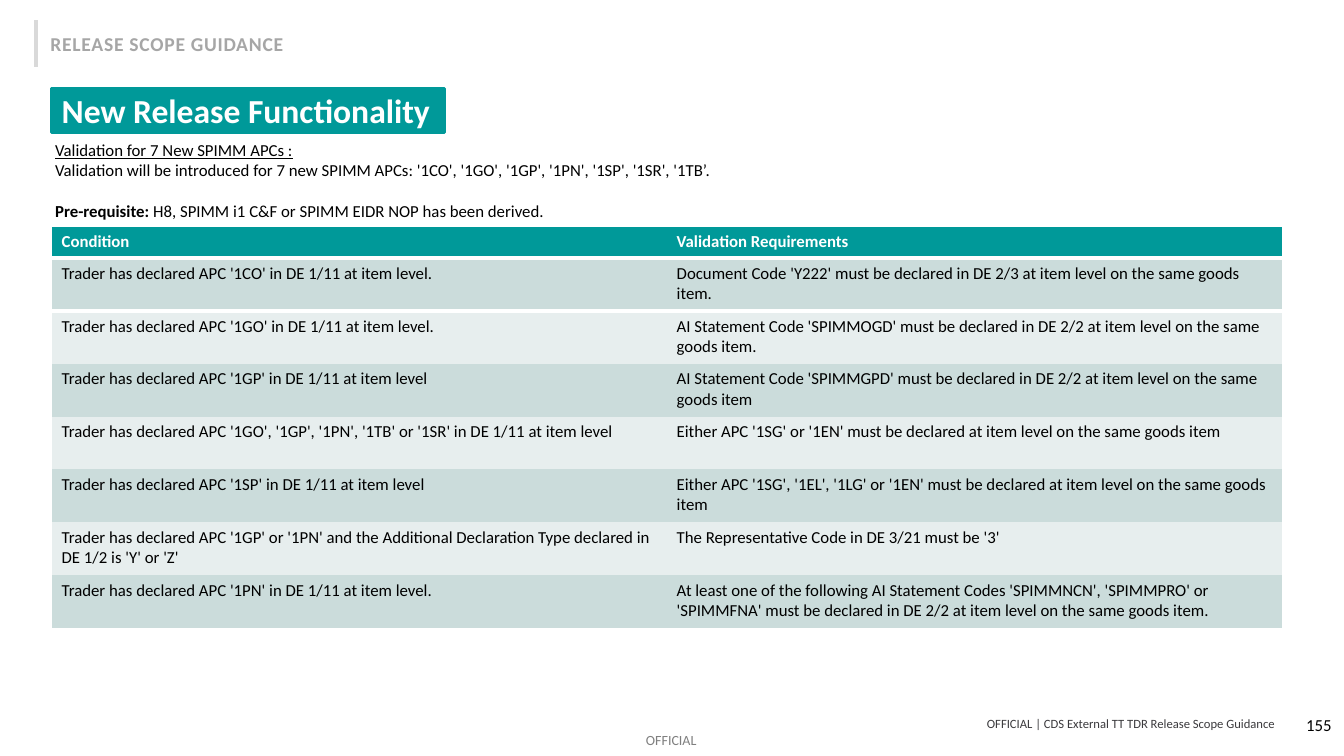
from lxml import etree
from pptx import Presentation
from pptx.dml.color import RGBColor
from pptx.enum import shapes, text
from pptx.oxml import parse_xml
from pptx.oxml.ns import nsdecls, qn
from pptx.util import Cm, Pt

TEAL, WHITE, BLACK = "009999", "FFFFFF", "000000"
BANDS = ["CBDCDB", "E7EEEE"]

title = "New Release Functionality"
section = "RELEASE SCOPE GUIDANCE"
intro = [
    [("Validation for 7 New SPIMM APCs\u00a0:", "underline")],
    [("Validation will be introduced for 7 new SPIMM APCs: "
      "'1CO', '1GO', '1GP', '1PN', '1SP', '1SR', '1TB’.", "")],
    [("Pre-requisite: ", "bold"),
     ("H8, SPIMM i1 C&F or SPIMM EIDR NOP has been derived.", "")],
]
headings = ("Condition", "Validation Requirements")
rules = [
    ("Trader has declared APC '1CO' in DE 1/11 at item level.",
     "Document Code 'Y222' must be declared in DE 2/3 at item level on the same goods item."),
    ("Trader has declared APC '1GO' in DE 1/11 at item level.",
     "AI Statement Code 'SPIMMOGD' must be declared in DE 2/2 at item level on the same goods item."),
    ("Trader has declared APC '1GP' in DE 1/11 at item level",
     "AI Statement Code 'SPIMMGPD' must be declared in DE 2/2 at item level on the same goods item"),
    ("Trader has declared APC '1GO', '1GP', '1PN', '1TB' or '1SR' in DE 1/11 at item level",
     "Either APC '1SG' or '1EN' must be declared at item level on the same goods item"),
    ("Trader has declared APC '1SP' in DE 1/11 at item level",
     "Either APC '1SG', '1EL', '1LG' or '1EN' must be declared at item level on the same goods item"),
    ("Trader has declared APC '1GP' or '1PN' and the Additional Declaration Type "
     "declared in DE 1/2 is 'Y' or 'Z'",
     "The Representative Code in DE 3/21 must be '3'"),
    ("Trader has declared APC '1PN' in DE 1/11 at item level.",
     "At least one of the following AI Statement Codes 'SPIMMNCN', 'SPIMMPRO' or "
     "'SPIMMFNA' must be declared in DE 2/2 at item level on the same goods item."),
]
footer = "OFFICIAL | CDS External TT TDR Release Scope Guidance"
marking = "OFFICIAL"
page_number = "155"


def colour(value):
    return RGBColor.from_string(value)


def style(run, size, value=BLACK, bold=False):
    run.font.name = "Calibri"
    run.font.size = Pt(size)
    run.font.bold = bold
    run.font.color.rgb = colour(value)


def add_text(box, wording, size, value, bold=False, right=False, middle=False,
             wrap=True, margins=None):
    frame = slide.shapes.add_textbox(*map(Cm, box)).text_frame
    frame.word_wrap = wrap
    frame.text = wording
    if middle:
        frame.vertical_anchor = text.MSO_ANCHOR.MIDDLE
    if margins:
        (frame.margin_left, frame.margin_top,
         frame.margin_right, frame.margin_bottom) = map(Cm, margins)
    if right:
        frame.paragraphs[0].alignment = text.PP_ALIGN.RIGHT
    run = frame.paragraphs[0].runs[0]
    style(run, size, value, bold)
    return run


def add_edge(cell, side, points):
    edge = parse_xml(
        f'<a:{side} {nsdecls("a")} w="{Pt(points)}"><a:solidFill>'
        f'<a:srgbClr val="{WHITE}"/></a:solidFill></a:{side}>')
    cell._tc.get_or_add_tcPr().insert(0, edge)


prs = Presentation()
prs.slide_width, prs.slide_height = Cm(33.87), Cm(19.05)
slide = prs.slides.add_slide(prs.slide_layouts[5])

# Section label with its double bar
for bar_x in (0.91, 0.89):
    bar = slide.shapes.add_connector(
        shapes.MSO_CONNECTOR.STRAIGHT, Cm(bar_x), Cm(0.51), Cm(bar_x), Cm(1.7))
    bar.line.color.rgb = colour("D9D9D9")
    bar.line.width = Pt(2.25)
    etree.SubElement(bar._element.spPr, qn("a:effectLst"))
section_run = add_text((1.02, 0.69, 6.45, 0.86), section, 14, "A6A6A6", bold=True, wrap=False)
section_run.font._element.set("spc", "50")

# Title banner
banner = slide.shapes.title
banner.left, banner.top, banner.width, banner.height = map(Cm, (1.3, 2.22, 9.9, 1.12))
banner.fill.solid()
banner.fill.fore_color.rgb = colour(TEAL)
banner.line.color.rgb = colour(TEAL)
banner.line.width = Pt(2)
banner.text_frame.text = title
banner.text_frame.auto_size = text.MSO_AUTO_SIZE.NONE
banner.text_frame.vertical_anchor = text.MSO_ANCHOR.MIDDLE
banner.text_frame.paragraphs[0].alignment = text.PP_ALIGN.LEFT
style(banner.text_frame.paragraphs[0].runs[0], 24, WHITE, bold=True)

# Introduction
intro_frame = slide.shapes.add_textbox(*map(Cm, (1.14, 3.4, 31.34, 2.82))).text_frame
intro_frame.word_wrap = True
for index, parts in enumerate(intro):
    line = intro_frame.paragraphs[0] if index == 0 else intro_frame.add_paragraph()
    for wording, emphasis in parts:
        run = line.add_run()
        run.text = wording
        style(run, 12, bold=emphasis == "bold")
        run.font.underline = emphasis == "underline"
intro_frame.paragraphs[-1].space_before = Pt(14.65)

# Validation table
HEAD_H, ROW_H, COL_W = 0.79, 1.33, 15.5
grid = slide.shapes.add_table(
    len(rules) + 1, 2, Cm(1.3), Cm(5.72), Cm(2 * COL_W), Cm(HEAD_H + ROW_H * len(rules)))
table = grid.table
table.horz_banding = False
plain_style = "{2D5ABB26-0587-4C30-8999-92F81FD0307C}"
table._tbl.tblPr.find(qn("a:tableStyleId")).text = plain_style
for column in table.columns:
    column.width = Cm(COL_W)
for r, rule in enumerate([headings] + rules):
    is_head = r == 0
    table.rows[r].height = Cm(HEAD_H if is_head else ROW_H)
    for c, wording in enumerate(rule):
        cell = table.cell(r, c)
        cell.text = wording
        cell.fill.solid()
        cell.fill.fore_color.rgb = colour(TEAL if is_head else BANDS[(r - 1) % 2])
        style(cell.text_frame.paragraphs[0].runs[0], 12, WHITE if is_head else BLACK, is_head)
        if r < 2:
            add_edge(cell, "lnB" if is_head else "lnT", 3) if is_head or r == 1 else None

# Footer
add_text((7.98, 18.03, 24.28, 0.41), footer, 9, "3B3A3D", right=True, middle=True,
         margins=(0, 0, 0.14, 0))
add_text((26.19, 17.75, 7.62, 1.02), page_number, 12, BLACK, right=True, middle=True)
add_text((16.28, 18.44, 1.35, 0.43), marking, 10, "7F7F7F", wrap=False, margins=(0, 0, 0, 0))

prs.save("out.pptx")
